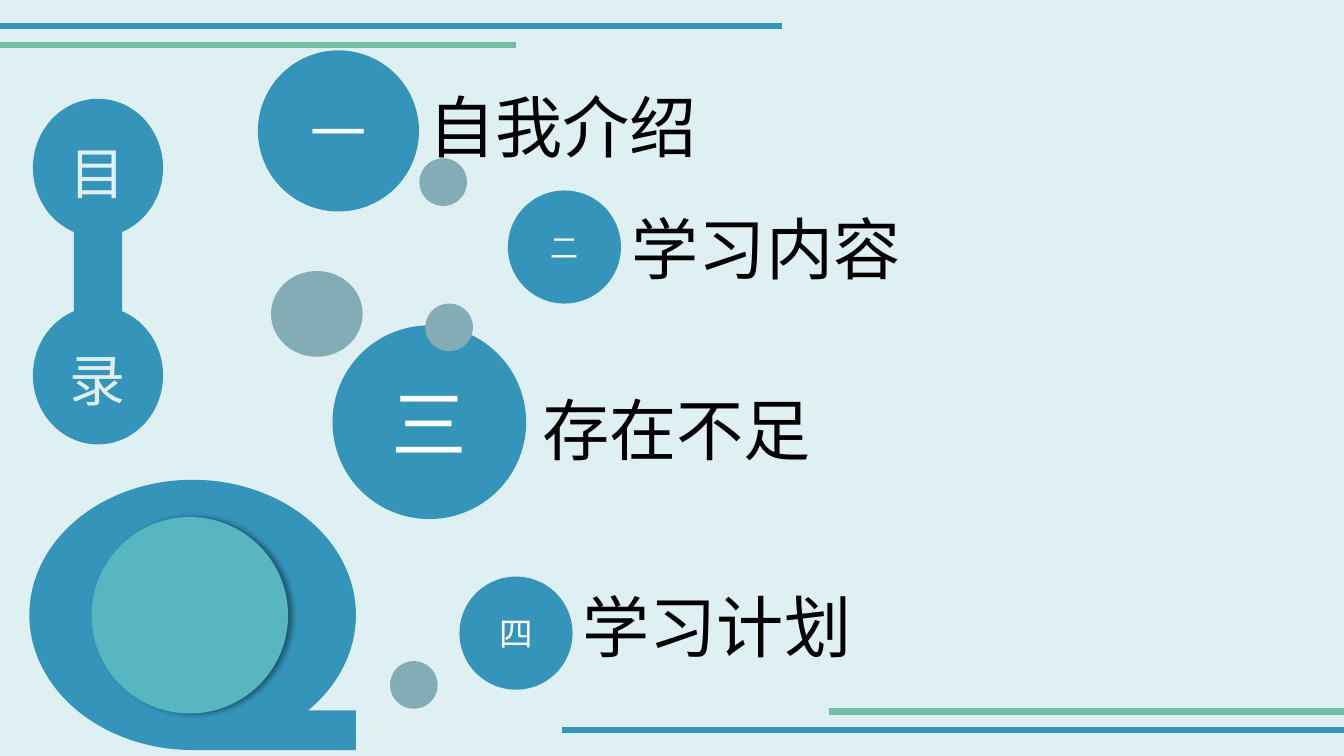
from math import asin, cos, pi, sin

from lxml.etree import SubElement
from pptx import Presentation
from pptx.dml.color import RGBColor
from pptx.enum.shapes import MSO_CONNECTOR as Connector, MSO_SHAPE as Shape
from pptx.enum.text import MSO_ANCHOR as Anchor, PP_ALIGN as Align
from pptx.oxml.ns import qn
from pptx.util import Cm, Pt

FONT = "Noto Sans CJK JP"
BACKGROUND, BLUE, GREEN = "DEF0F2", "3494BA", "75BDA7"
TEAL, GREY, WHITE, BLACK = "58B6C0", "84ACB6", "FFFFFF", "000000"
WIDTH, HEIGHT = 33.87, 19.05

# Numeral, size, circle (left, top, diameter), label, label (left, top)
CHAPTERS = [
    ("一", 40, (6.5, 1.27, 4.06), "自我介绍", (10.54, 2.03)),
    ("二", 20, (12.8, 4.8, 2.85), "学习内容", (15.67, 5.11)),
    ("三", 54, (8.38, 8.2, 4.88), "存在不足", (13.41, 9.65)),
    ("四", 24, (11.58, 14.53, 2.85), "学习计划", (14.43, 14.63)),
]
DOTS = [
    (9.83, 16.66, 1.2, 1.2),
    (10.57, 3.99, 1.2, 1.2),
    (10.72, 7.65, 1.2, 1.2),
    (6.83, 6.83, 2.31, 2.16),
]
# Left, right, height on the slide, colour
STRIPES = [
    (0, 13, 1.14, GREEN),
    (0, 19.71, 0.66, BLUE),
    (20.9, WIDTH, 17.93, GREEN),
    (14.17, WIDTH, 18.39, BLUE),
]


def colour(value):
    return RGBColor.from_string(value)


def paint(shape, fill):
    shape.shadow.inherit = False
    shape.fill.solid()
    shape.fill.fore_color.rgb = colour(fill)
    shape.line.fill.background()


def add_shape(slide, kind, left, top, width, height, fill):
    shape = slide.shapes.add_shape(kind, Cm(left), Cm(top), Cm(width), Cm(height))
    paint(shape, fill)
    return shape


def write(shape, text, size, fill, align=Align.LEFT, anchor=Anchor.TOP):
    frame = shape.text_frame
    frame.word_wrap = True
    frame.vertical_anchor = anchor
    frame.text = text
    paragraph = frame.paragraphs[0]
    paragraph.alignment = align
    font = paragraph.runs[0].font
    font.size = Pt(size)
    font.color.rgb = colour(fill)
    font.name = FONT
    # East Asian characters take their own typeface entry
    SubElement(font._element, qn("a:ea"), typeface=FONT)


def add_text(slide, left, top, width, height, *text, **layout):
    box = slide.shapes.add_textbox(Cm(left), Cm(top), Cm(width), Cm(height))
    write(box, *text, **layout)


def add_stripe(slide, left, right, y, fill):
    stripe = slide.shapes.add_connector(
        Connector.STRAIGHT, Cm(left), Cm(y), Cm(right), Cm(y))
    stripe.line.color.rgb = colour(fill)
    stripe.line.width = Pt(4.5)
    SubElement(stripe._element.spPr, qn("a:effectLst"))


def add_shadow(shape):
    effects = shape._element.spPr.find(qn("a:effectLst"))
    shadow = SubElement(effects, qn("a:outerShdw"), blurRad=str(Pt(4)),
                        dist=str(Pt(3)), dir="0", algn="l", rotWithShape="0")
    black = SubElement(shadow, qn("a:srgbClr"), val=BLACK)
    SubElement(black, qn("a:alpha"), val="40000")


def add_chapter(slide, numeral, size, circle, label, position):
    left, top, diameter = circle
    disc = add_shape(slide, Shape.OVAL, left, top, diameter, diameter, BLUE)
    write(disc, numeral, size, WHITE, Align.CENTER, Anchor.MIDDLE)
    add_text(slide, *position, 12.07, 2.31, label, 48, BLACK)


def add_contents_sign(slide):
    """Two discs joined by a bar, with one character on each disc."""
    centre, upper, lower = 2.47, 4.23, 9.46
    radius_x, radius_y, half_bar, steps = 1.64, 1.74, 0.61, 90
    gap = asin(half_bar / radius_x)
    points = []
    for middle, start in ((upper, pi / 2 + gap), (lower, -pi / 2 + gap)):
        for step in range(steps + 1):
            angle = start + (2 * pi - 2 * gap) * step / steps
            points.append((Cm(centre + radius_x * cos(angle)),
                           Cm(middle + radius_y * sin(angle))))
    builder = slide.shapes.build_freeform(*points[0])
    builder.add_line_segments(points[1:], close=True)
    paint(builder.convert_to_shape(), BLUE)

    for character, middle in (("目", upper), ("录", lower)):
        add_text(slide, centre - radius_x, middle - radius_y + 0.1,
                 2 * radius_x, 2 * radius_y, character, 40, BACKGROUND,
                 align=Align.CENTER, anchor=Anchor.MIDDLE)


def main():
    presentation = Presentation()
    presentation.slide_width = Cm(WIDTH)
    presentation.slide_height = Cm(HEIGHT)
    slide = presentation.slides.add_slide(presentation.slide_layouts[6])
    slide.background.fill.solid()
    slide.background.fill.fore_color.rgb = colour(BACKGROUND)

    # Stripes at the top and bottom
    for stripe in STRIPES:
        add_stripe(slide, *stripe)

    # Large emblem in the lower left corner
    add_shape(slide, Shape.FLOWCHART_SEQUENTIAL_ACCESS_STORAGE,
              0.74, 12.09, 8.23, 6.81, BLUE)
    add_shadow(add_shape(slide, Shape.OVAL, 2.31, 13.03, 4.95, 4.95, TEAL))

    # Chapters and the dots around them
    for chapter in CHAPTERS:
        add_chapter(slide, *chapter)
    for dot in DOTS:
        add_shape(slide, Shape.OVAL, *dot, GREY)

    # Heading on the left
    add_contents_sign(slide)
    presentation.save("out.pptx")


if __name__ == "__main__":
    main()
